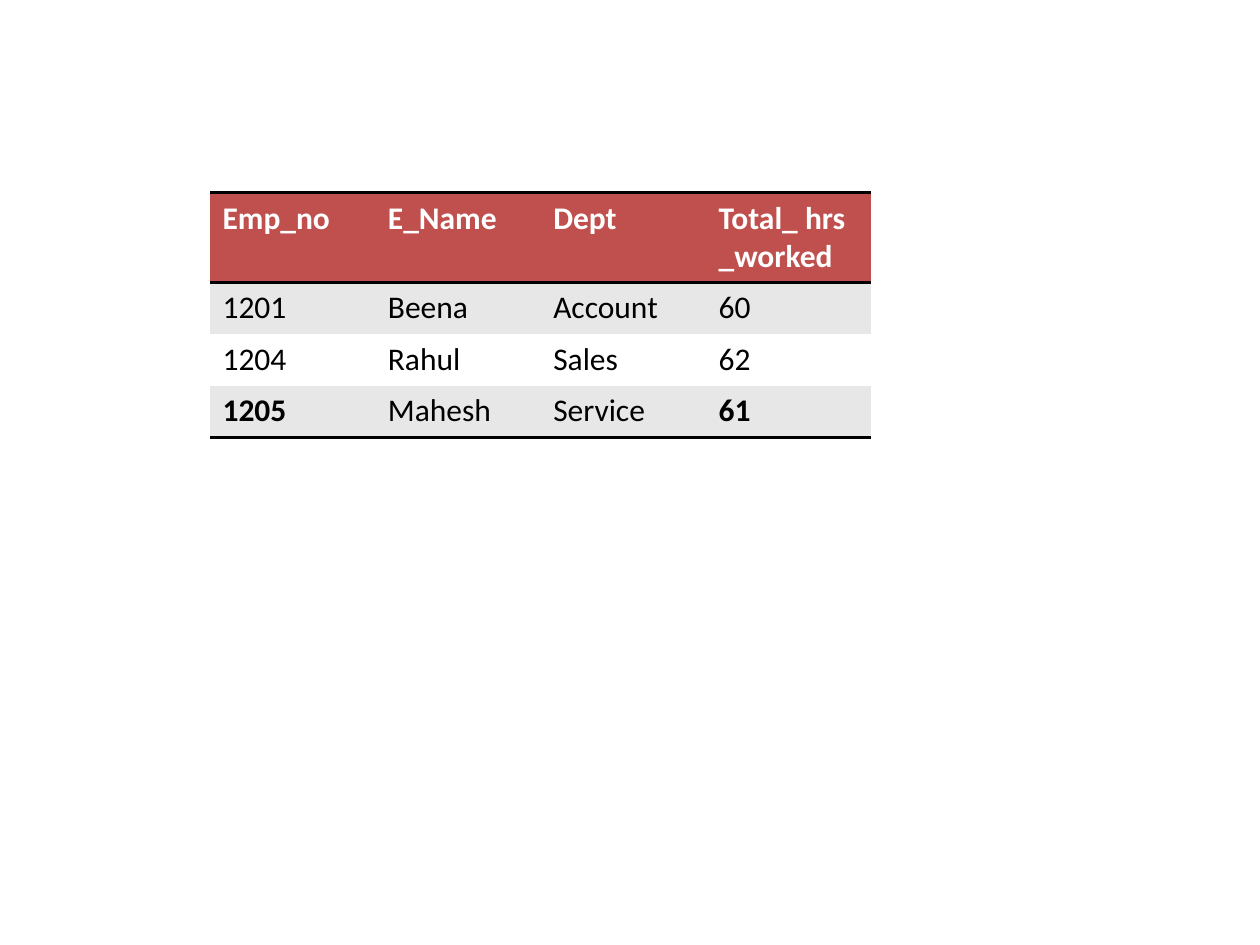
"""Build a slide with a table of employees and their total hours worked."""
from lxml.etree import SubElement
from pptx import Presentation
from pptx.dml.color import RGBColor
from pptx.oxml.ns import qn
from pptx.util import Inches, Pt

RED = RGBColor(0xC0, 0x50, 0x4D)
GREY = RGBColor(0xE7, 0xE7, 0xE7)
WHITE = RGBColor(0xFF, 0xFF, 0xFF)
BLACK = RGBColor(0x00, 0x00, 0x00)
NO_STYLE = "{2D5ABB26-0587-4C30-8999-92F81FD0307C}"

ROWS = [
    ["Emp_no", "E_Name", "Dept", "Total_ hrs _worked"],
    ["1201", "Beena", "Account", "60"],
    ["1204", "Rahul", "Sales", "62"],
    ["1205", "Mahesh", "Service", "61"],
]
FILLS = [RED, GREY, WHITE, GREY]
RULES = {0: ["a:lnT", "a:lnB"], 3: ["a:lnB"]}
BOLD_VALUES = ROWS[0] + ["1205", "61"]
HEADER_HEIGHT, ROW_HEIGHT = Inches(0.71), Inches(0.41)


def add_rule(cell, side):
    line = SubElement(cell._tc.get_or_add_tcPr(), qn(side), w=str(Pt(2)))
    fill = SubElement(line, qn("a:solidFill"))
    SubElement(fill, qn("a:srgbClr"), val=str(BLACK))


deck = Presentation()
deck.slide_width, deck.slide_height = Inches(10), Inches(7.5)
page = deck.slides.add_slide(deck.slide_layouts[6])

frame = page.shapes.add_table(
    len(ROWS), len(ROWS[0]), deck.slide_width // 6, Inches(1.53),
    Inches(5.25), HEADER_HEIGHT + 3 * ROW_HEIGHT)
table = frame.table
table.horz_banding = False
frame._element.find(".//" + qn("a:tableStyleId")).text = NO_STYLE

for index, values in enumerate(ROWS):
    table.rows[index].height = ROW_HEIGHT if index else HEADER_HEIGHT
    for column, value in enumerate(values):
        cell = table.cell(index, column)
        for side in RULES.get(index, []):
            add_rule(cell, side)
        cell.fill.solid()
        cell.fill.fore_color.rgb = FILLS[index]
        span = cell.text_frame.paragraphs[0].add_run()
        span.text = value
        span.font.name = "Calibri"
        span.font.size = Pt(18)
        span.font.bold = value in BOLD_VALUES
        span.font.color.rgb = BLACK if index else WHITE

deck.save("out.pptx")
